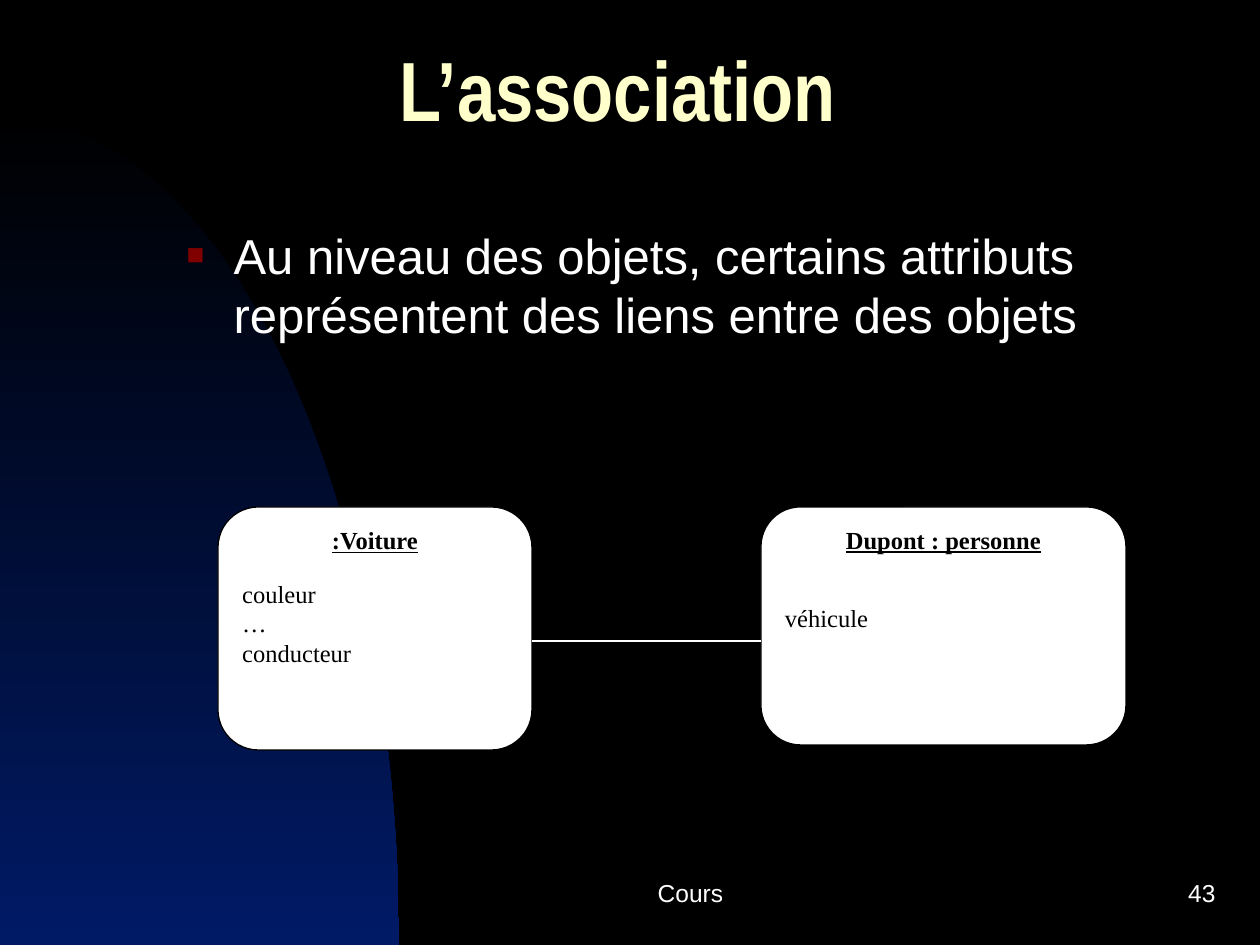
import math

import lxml.etree
import pptx
import pptx.dml.color
import pptx.enum.dml
import pptx.enum.shapes
import pptx.enum.text
import pptx.oxml.ns
import pptx.util

ALIGN = pptx.enum.text.PP_ALIGN
ANCHOR = pptx.enum.text.MSO_ANCHOR

# Content: places are (left, top, width, height) in px
SLIDE_SIZE = (1260, 945)
COLORS = {
    "black": "000000",
    "white": "FFFFFF",
    "title": "FFFFCC",
    "bullet": "800000",
    "glow": "001A66",
}
TITLE = ("L’association", (387, 40, 840, 121))
BODY = ("Au niveau des objets, certains attributs représentent des liens entre des objets",
        (174, 219, 1045, 190))
# heading, attributes, gap in points below the heading, place
OBJECTS = [
    (":Voiture", ["couleur", "…", "conducteur"], 14, (218, 507, 314, 243)),
    ("Dupont : personne", ["véhicule"], 28, (761, 507, 365, 238)),
]
LINK_Y = 641
FOOTERS = [
    ("Cours", ALIGN.CENTER, (491, 861, 399, 63)),
    ("43", ALIGN.RIGHT, (966, 861, 262, 63)),
]
ARC_RADII = (399, 829)
ARC_STEPS = 90


def px(length):
    return round(length * 914400 / 126)


def color(name):
    return pptx.dml.color.RGBColor.from_string(COLORS[name])


def place(shape, area):
    shape.left, shape.top, shape.width, shape.height = map(px, area)


def style(para, font, size, ink, align=ALIGN.LEFT, bold=False, underline=False):
    para.alignment = align
    for span in para.runs:
        span.font.name = font
        span.font.size = pptx.util.Pt(size)
        span.font.color.rgb = color(ink)
        span.font.bold = bold
        span.font.underline = underline


def frame_of(shape, anchor):
    frame = shape.text_frame
    frame.word_wrap = True
    frame.auto_size = pptx.enum.text.MSO_AUTO_SIZE.NONE
    frame.vertical_anchor = anchor
    return frame


def add_bullet(para):
    props = para._p.get_or_add_pPr()
    props.set("marL", str(px(47)))
    props.set("indent", str(px(-47)))
    qn = pptx.oxml.ns.qn
    tint = lxml.etree.SubElement(props, qn("a:buClr"))
    lxml.etree.SubElement(tint, qn("a:srgbClr"), val=COLORS["bullet"])
    lxml.etree.SubElement(props, qn("a:buSzPct"), val="60000")
    lxml.etree.SubElement(props, qn("a:buFont"), typeface="Arial")
    lxml.etree.SubElement(props, qn("a:buChar"), char="■")


deck = pptx.Presentation()
deck.slide_width, deck.slide_height = map(px, SLIDE_SIZE)
page = deck.slides.add_slide(deck.slide_layouts[1])
page.background.fill.solid()
page.background.fill.fore_color.rgb = color("black")

# Quarter ellipse in the lower left corner
radius_x, radius_y = ARC_RADII
base = SLIDE_SIZE[1]
angles = [math.pi / 2 * step / ARC_STEPS for step in range(ARC_STEPS + 1)]
arc = [(px(radius_x * math.sin(a)), px(base - radius_y * math.cos(a))) for a in angles]
builder = page.shapes.build_freeform(0, px(base))
builder.add_line_segments(arc, close=True)
glow = builder.convert_to_shape()
glow.shadow.inherit = False
glow.line.fill.background()
glow.fill.gradient()
glow.fill.gradient_angle = 270
for stop, position, name in zip(glow.fill.gradient_stops, (0, 1), ("black", "glow")):
    stop.position = position
    stop.color.rgb = color(name)
page.shapes._spTree.insert(2, glow._element)

# Title and body
title = page.shapes.title
place(title, TITLE[1])
frame = frame_of(title, ANCHOR.MIDDLE)
frame.text = TITLE[0]
frame.paragraphs[0].line_spacing = 0.7
style(frame.paragraphs[0], "Arial Narrow", 48, "title", bold=True)

body = page.placeholders[1]
place(body, BODY[1])
frame = frame_of(body, ANCHOR.TOP)
frame.text = BODY[0]
para = frame.paragraphs[0]
add_bullet(para)
para.space_before = pptx.util.Pt(7)
style(para, "Arial", 28, "white")

# Object boxes
for heading, attributes, gap, area in OBJECTS:
    box = page.shapes.add_shape(
        pptx.enum.shapes.MSO_SHAPE.ROUNDED_RECTANGLE, *map(px, area))
    box.shadow.inherit = False
    box.fill.solid()
    box.fill.fore_color.rgb = color("white")
    box.line.color.rgb = color("black")
    box.line.width = pptx.util.Pt(0.75)
    frame = frame_of(box, ANCHOR.TOP)
    frame.text = "\n".join([heading, *attributes])
    first, *others = frame.paragraphs
    style(first, "Times New Roman", 14, "black", ALIGN.CENTER, bold=True, underline=True)
    first.space_after = pptx.util.Pt(gap)
    for para in others:
        style(para, "Times New Roman", 14, "black")

# Link between the two objects, below the middle of their sides
left_area, right_area = (item[3] for item in OBJECTS)
link = page.shapes.add_connector(
    pptx.enum.shapes.MSO_CONNECTOR.STRAIGHT,
    px(left_area[0] + left_area[2]), px(LINK_Y), px(right_area[0]), px(LINK_Y))
link.line.color.rgb = color("white")
link.line.width = pptx.util.Pt(0.75)
lxml.etree.SubElement(link._element.spPr, pptx.oxml.ns.qn("a:effectLst"))

# Footer
for text, align, area in FOOTERS:
    box = page.shapes.add_textbox(*map(px, area))
    frame = frame_of(box, ANCHOR.MIDDLE)
    frame.text = text
    style(frame.paragraphs[0], "Arial", 14, "white", align)

deck.save("out.pptx")
